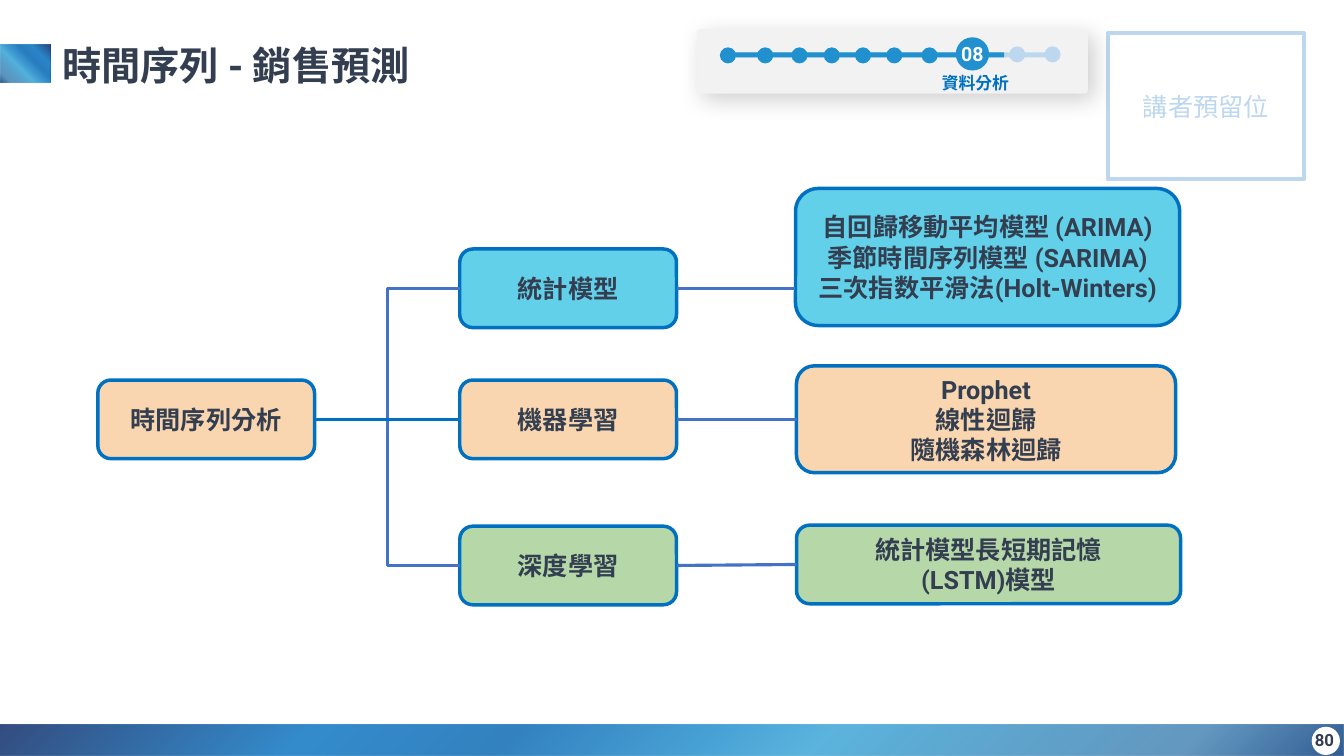
from lxml import etree
from pptx import Presentation
from pptx import util as u
from pptx.dml.color import RGBColor
from pptx.enum import shapes, text
from pptx.oxml import parse_xml
from pptx.oxml.ns import nsdecls, qn

WIDTH, HEIGHT = 13.33, 7.5
INK, EDGE, LINK, ACTIVE, PALE, WHITE = "333F50", "0070C0", "4472C4", "2090CE", "BDD7EE", "FFFFFF"
LATIN, CHINESE = "Roboto", "Noto Sans CJK TC"
TITLE = "時間序列 - 銷售預測"
ROOT = "時間序列分析"
BRANCHES = [
    ("統計模型", 2.86, "63D0EA", (7.89, 1.87, 3.81, 1.36),
     ["自回歸移動平均模型 (ARIMA)", "季節時間序列模型 (SARIMA)", "三次指数平滑法(Holt-Winters)"]),
    ("機器學習", 4.16, "F9D6AF", (7.9, 3.63, 3.76, 1.06), ["Prophet", "線性迴歸", "隨機森林迴歸"]),
    ("深度學習", 5.61, "B6D7A8", (7.9, 5.21, 3.81, 0.78), ["統計模型長短期記憶", "(LSTM)模型"]),
]
ROOT_LEFT, BRANCH_LEFT, NODE_WIDTH, NODE_HEIGHT = 0.97, 4.56, 2.15, 0.78
ROOT_MIDDLE = BRANCHES[1][1]
GRADIENT = [(0, "002060", 100), (23, "0070C0", 100), (38, "0063B1", 100), (53, "1C8CCC", 100),
            (61, "34A3D6", 100), (88, "1766A2", 83), (100, "003478", 100)]
DONE_STEPS = [7.22, 7.59, 7.93, 8.25, 8.56, 8.87, 9.22]
COMING_STEPS = [10.09, 10.44]
CURRENT_STEP = 9.645
DOT = 0.16
BAND = 0.31


def color(value):
    return RGBColor.from_string(value)


def box(left, top, width, height):
    return [u.Inches(value) for value in (left, top, width, height)]


def write(shape, lines, size, ink=INK, bold=True, font=LATIN, align="CENTER",
          anchor="MIDDLE", spacing=None, inset=0.05):
    frame = shape.text_frame
    frame.text = "\n".join(lines)
    frame.word_wrap = True
    frame.auto_size = text.MSO_AUTO_SIZE.NONE
    frame.vertical_anchor = text.MSO_ANCHOR[anchor]
    frame.margin_left = frame.margin_right = u.Inches(0.1)
    frame.margin_top = frame.margin_bottom = u.Inches(inset)
    for paragraph in frame.paragraphs:
        paragraph.alignment = text.PP_ALIGN[align]
        paragraph.space_before = u.Pt(0)
        if spacing:
            paragraph.line_spacing = spacing
        for run in paragraph.runs:
            run.font.name, run.font.size, run.font.bold = font, u.Pt(size), bold
            run.font.color.rgb = color(ink)
            properties = run.font._element
            properties.set("lang", "zh-TW")
            east_asian = etree.SubElement(properties, qn("a:ea"))
            east_asian.set("typeface", CHINESE)


def draw(parent, kind, place, fill=None, line=None, weight=2.5, opacity=100):
    shape = parent.add_shape(shapes.MSO_SHAPE[kind], *box(*place))
    shape.shadow.inherit = False
    if fill:
        shape.fill.solid()
        shape.fill.fore_color.rgb = color(fill)
        if opacity < 100:
            tint = shape._element.spPr.find(".//" + qn("a:srgbClr"))
            etree.SubElement(tint, qn("a:alpha")).set("val", str(opacity * 1000))
    else:
        shape.fill.background()
    if line:
        shape.line.color.rgb = color(line)
        shape.line.width = u.Pt(weight)
    else:
        shape.line.fill.background()
    return shape


def shade(shape):
    stops = "".join(
        f'<a:gs pos="{place * 1000}"><a:srgbClr val="{value}"><a:alpha val="{opacity * 1000}"/></a:srgbClr></a:gs>'
        for place, value, opacity in GRADIENT)
    properties = shape._element.spPr
    properties.replace(properties.find(qn("a:solidFill")), parse_xml(
        f'<a:gradFill {nsdecls("a")} rotWithShape="1"><a:gsLst>{stops}</a:gsLst>'
        '<a:lin ang="2700000" scaled="0"/></a:gradFill>'))


def node(place, lines, fill):
    shape = draw(slide.shapes, "ROUNDED_RECTANGLE", place, fill, EDGE)
    write(shape, lines, 18, inset=0.1)
    return shape


def connect(kind, start, end, ink, end_point=None):
    connector = slide.shapes.add_connector(shapes.MSO_CONNECTOR[kind], 0, 0, 0, 0)
    connector.begin_connect(start, 3)
    if end_point:
        connector.end_x, connector.end_y = [u.Inches(value) for value in end_point]
    else:
        connector.end_connect(end, 1)
    connector.line.color.rgb = color(ink)
    connector.line.width = u.Pt(2.25)
    etree.SubElement(connector._element.spPr, qn("a:effectLst"))


def build_frame():
    reserved = draw(slide.shapes, "RECTANGLE", (10.99, 0.33, 1.94, 1.45), None, PALE, 3)
    write(reserved, ["講者預留位"], 18, PALE, bold=False)
    footer = (0, HEIGHT - BAND, WIDTH, BAND)
    shade(draw(slide.shapes, "RECTANGLE", footer, EDGE))
    accent = draw(slide.shapes, "RECTANGLE", (0.06, 0.38, 0.38, 0.5), EDGE)
    accent.rotation = 90
    shade(accent)
    draw(slide.shapes, "RECTANGLE", footer, WHITE, opacity=20)
    draw(slide.shapes, "RECTANGLE", (0, 0.44, 0.5, 0.38), WHITE, opacity=16)
    draw(slide.shapes, "OVAL", (13.01, 7.21, 0.28, 0.28), WHITE)
    title = slide.shapes.title
    title.left, title.top, title.width, title.height = box(0.52, 0.36, 5.87, 0.57)
    write(title, [TITLE], 28, align="LEFT", anchor="TOP", spacing=1.0)
    number = slide.shapes.add_textbox(*box(10.34, 7.14, 2.99, 0.4))
    write(number, ["80"], 12, align="RIGHT")


def build_tree():
    top = ROOT_MIDDLE - NODE_HEIGHT / 2
    root = node((ROOT_LEFT, top, NODE_WIDTH, NODE_HEIGHT), [ROOT], BRANCHES[1][2])
    trunk = None
    for name, middle, fill, place, methods in BRANCHES:
        branch = node((BRANCH_LEFT, middle - NODE_HEIGHT / 2, NODE_WIDTH, NODE_HEIGHT), [name], fill)
        detail = node(place, methods, fill)
        if middle == ROOT_MIDDLE:
            trunk = branch
        else:
            connect("ELBOW", root, branch, LINK)
        centred = abs(place[1] + place[3] / 2 - middle) < 0.05
        connect("STRAIGHT", branch, detail, LINK, None if centred else (place[0], middle))
    connect("STRAIGHT", root, trunk, EDGE)


def build_progress():
    progress = slide.shapes.add_group_shape().shapes
    panel = draw(progress, "ROUNDED_RECTANGLE", (6.91, 0.29, 3.88, 0.64), "F2F2F2")
    panel.adjustments[0] = 0.055
    effects = panel._element.spPr.find(qn("a:effectLst"))
    effects.append(parse_xml(
        f'<a:outerShdw {nsdecls("a")} blurRad="{u.Pt(17)}" dist="{u.Pt(6)}" dir="2700000" algn="tl" '
        'rotWithShape="0"><a:srgbClr val="000000"><a:alpha val="18000"/></a:srgbClr></a:outerShdw>'))
    draw(progress, "RECTANGLE", (7.27, 0.52, 3.23, 0.05), PALE)
    draw(progress, "RECTANGLE", (7.24, 0.52, 2.72, 0.05), ACTIVE)
    draw(progress, "OVAL", (9.48, 0.37, 0.33, 0.33), ACTIVE)
    for centers, top, fill in ((DONE_STEPS, 0.47, ACTIVE), (COMING_STEPS, 0.46, PALE)):
        for center in centers:
            draw(progress, "OVAL", (center - DOT / 2, top, DOT, DOT), fill)
    for label, width, top, height, size, ink, font in (
            ("08", 1.33, 0.39, 0.51, 14, WHITE, LATIN), ("資料分析", 0.91, 0.69, 0.35, 12, EDGE, CHINESE)):
        center = CURRENT_STEP if label == "08" else 9.675
        caption = progress.add_textbox(*box(center - width / 2, top, width, height))
        write(caption, [label], size, ink, font=font, anchor="TOP", spacing=0.9)


presentation = Presentation()
presentation.slide_width, presentation.slide_height = u.Inches(WIDTH), u.Inches(HEIGHT)
slide = presentation.slides.add_slide(presentation.slide_layouts[5])
build_frame()
build_tree()
build_progress()
presentation.save("out.pptx")
